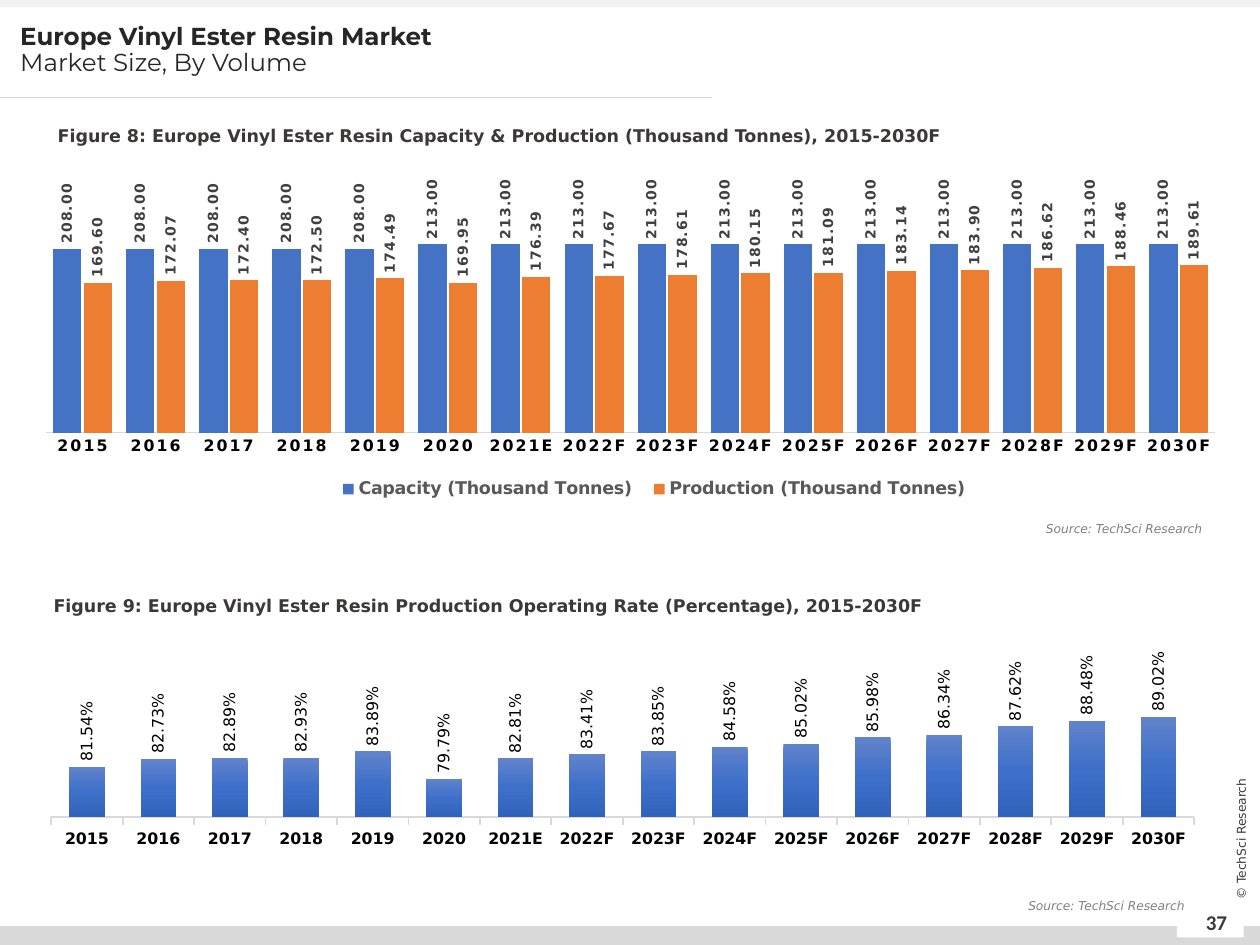
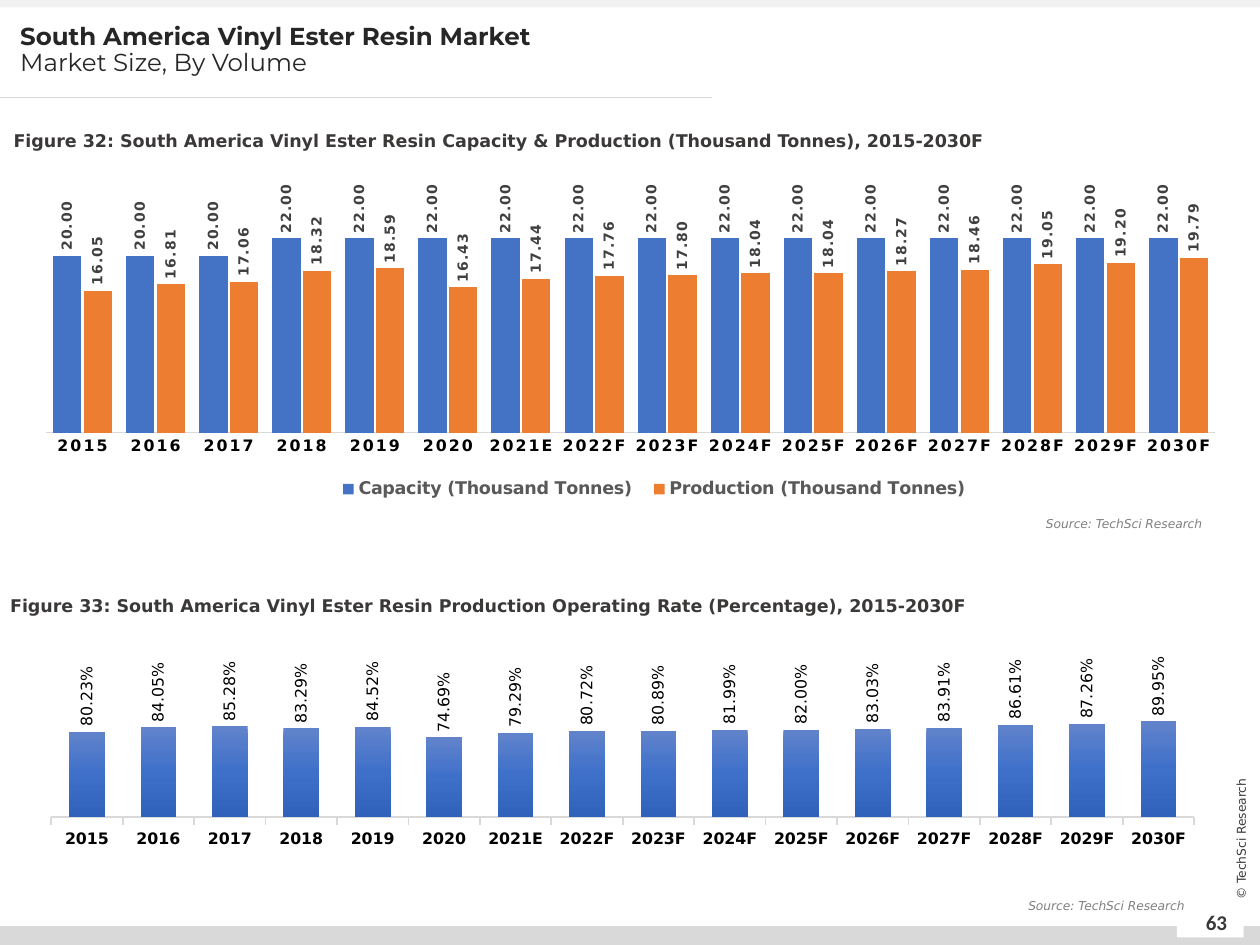
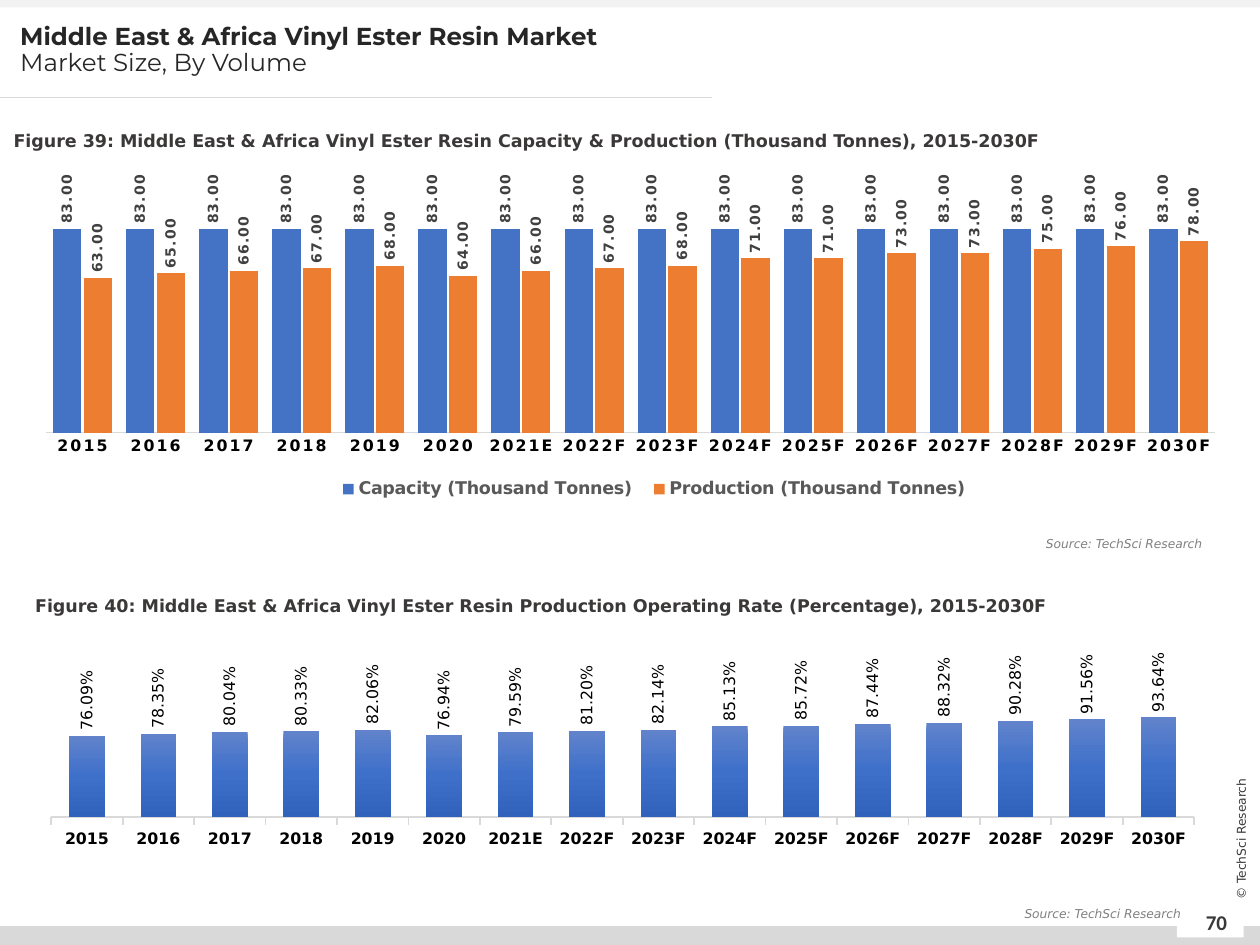
"""Build the regional vinyl ester resin capacity, production and operating rate slides."""
from copy import deepcopy
from dataclasses import dataclass

from pptx import Presentation
from pptx.chart.data import CategoryChartData
from pptx.dml.color import RGBColor
from pptx.enum.chart import (
    XL_CHART_TYPE, XL_LABEL_POSITION, XL_LEGEND_POSITION, XL_TICK_LABEL_POSITION, XL_TICK_MARK,
)
from pptx.enum.shapes import MSO_CONNECTOR, MSO_SHAPE
from pptx.enum.text import MSO_ANCHOR, MSO_AUTO_SIZE, PP_ALIGN
from pptx.oxml import parse_xml
from pptx.oxml.ns import nsdecls, qn
from pptx.util import Pt

COLUMNS = XL_CHART_TYPE.COLUMN_CLUSTERED
OUTSIDE_END = XL_LABEL_POSITION.OUTSIDE_END
LEGEND_TOP = XL_LEGEND_POSITION.TOP
NO_LABELS = XL_TICK_LABEL_POSITION.NONE
TICK_NONE, TICK_OUT = XL_TICK_MARK.NONE, XL_TICK_MARK.OUTSIDE
STRAIGHT, RECT = MSO_CONNECTOR.STRAIGHT, MSO_SHAPE.RECTANGLE
TOP, MIDDLE = MSO_ANCHOR.TOP, MSO_ANCHOR.MIDDLE
LEFT, CENTER, RIGHT = PP_ALIGN.LEFT, PP_ALIGN.CENTER, PP_ALIGN.RIGHT
NO_FIT = MSO_AUTO_SIZE.NONE

PX = 9144
WIDTH, HEIGHT = 1000, 750
TITLE_ONLY = 5
UPRIGHT = -5400000
YEARS = [str(y) for y in range(2015, 2021)] + ["2021E"] + [f"{y}F" for y in range(2022, 2031)]


@dataclass(frozen=True)
class Theme:
    """Colours, fonts and type sizes."""
    body_font: str = "DejaVu Sans"
    title_font: str = "Montserrat"
    number_font: str = "Calibri"
    title: str = "262626"
    text: str = "3B3838"
    muted: str = "808080"
    legend: str = "595959"
    label: str = "404040"
    black: str = "000000"
    white: str = "FFFFFF"
    band: str = "D9D9D9"
    top_band: str = "F2F2F2"
    capacity: str = "4472C4"
    production: str = "ED7D31"
    rate: tuple = ("6183CB", "3E70CA", "3062BB")
    title_size: int = 14
    number_size: int = 12
    figure_size: int = 10
    axis_size: int = 9
    label_size: int = 8
    small_size: int = 7


@dataclass(frozen=True)
class Region:
    """Figures and placement for one region."""
    name: str
    page: int
    figure: int
    capacity: list
    production: list
    rate: list
    volume_max: int
    rate_range: tuple
    volume_title: tuple = (1, 90)
    rate_title_width: int = 782
    volume_source: tuple = (681, 409)
    rate_source: tuple = (667, 708)


REGIONS = [
    Region(
        "Europe", 37, 8, [208] * 5 + [213] * 11,
        [169.6, 172.07, 172.4, 172.5, 174.49, 169.95, 176.39, 177.67,
         178.61, 180.15, 181.09, 183.14, 183.9, 186.62, 188.46, 189.61],
        [0.8154, 0.8273, 0.8289, 0.8293, 0.8389, 0.7979, 0.8281, 0.8341,
         0.8385, 0.8458, 0.8502, 0.8598, 0.8634, 0.8762, 0.8848, 0.8902],
        250, (0.74, 0.9), volume_title=(36, 86)),
    Region(
        "South America", 63, 32, [20] * 3 + [22] * 13,
        [16.05, 16.81, 17.06, 18.32, 18.59, 16.43, 17.44, 17.76,
         17.8, 18.04, 18.04, 18.27, 18.46, 19.05, 19.2, 19.79],
        [0.8023, 0.8405, 0.8528, 0.8329, 0.8452, 0.7469, 0.7929, 0.8072,
         0.8089, 0.8199, 0.82, 0.8303, 0.8391, 0.8661, 0.8726, 0.8995],
        25, (0, 1), volume_source=(681, 405)),
    Region(
        "Middle East & Africa", 70, 39, [83] * 16,
        [63, 65, 66, 67, 68, 64, 66, 67, 68, 71, 71, 73, 73, 75, 76, 78],
        [0.7609, 0.7835, 0.8004, 0.8033, 0.8206, 0.7694, 0.7959, 0.812,
         0.8214, 0.8513, 0.8572, 0.8744, 0.8832, 0.9028, 0.9156, 0.9364],
        90, (0, 1), rate_title_width=866,
        volume_source=(681, 421), rate_source=(664, 714)),
]


def rgb(color):
    """Turn a hex string into a colour."""
    return RGBColor.from_string(color)


def px(*lengths):
    """Turn px lengths into EMU."""
    return [n * PX for n in lengths]


def manual_layout(x, y, w, h, inner=False):
    """Return a chart layout element in fractions of the chart."""
    target = '<c:layoutTarget val="inner"/>' if inner else ""
    return parse_xml(
        f'<c:layout {nsdecls("c")}><c:manualLayout>{target}'
        '<c:xMode val="edge"/><c:yMode val="edge"/>'
        f'<c:x val="{x}"/><c:y val="{y}"/><c:w val="{w}"/><c:h val="{h}"/>'
        '</c:manualLayout></c:layout>')


def drop_layout(element):
    """Remove an existing layout from a chart part."""
    for layout in element.findall(qn("c:layout")):
        element.remove(layout)


def orient(element, rotation, spacing=0):
    """Set the rotation and letter spacing of chart text."""
    props = element.find(qn("c:txPr"))
    body = props.find(qn("a:bodyPr"))
    body.set("rot", str(rotation))
    body.set("vert", "horz")
    next(props.iter(qn("a:defRPr"))).set("spc", str(spacing))


class Deck:
    """Holds the theme, the presentation and the current slide."""

    def __init__(self, theme):
        """Start an empty presentation."""
        self.theme = theme
        self.prs = Presentation()
        self.prs.slide_width, self.prs.slide_height = px(WIDTH, HEIGHT)
        self.s = None

    def style(self, font, size, color, bold=False, italic=False, name=None):
        """Format a font."""
        font.name = name or self.theme.body_font
        font.size = Pt(size)
        font.bold, font.italic = bold, italic
        font.color.rgb = rgb(color)

    def slide(self, heading, page):
        """Add a slide with its bands, title and footer."""
        t = self.theme
        self.s = self.prs.slides.add_slide(self.prs.slide_layouts[TITLE_ONLY])
        self.rect(0, 735, WIDTH, 15, t.band)
        self.rect(0, 0, WIDTH, 6, t.top_band)
        self.rect(934, 722, 53, 22, t.white)
        self.text((941, 712, 49, 40), str(page), t.number_size, t.text, bold=True,
                  name=t.number_font, align=CENTER, anchor=MIDDLE)
        sp = self.text((925, 658, 120, 16), "© TechSci Research", t.small_size, t.text,
                       align=CENTER, anchor=MIDDLE)
        sp.rotation = 270
        self.rule(0, 77, 565)
        self.title(heading, "Market Size, By Volume")

    def title(self, heading, subheading):
        """Fill and place the title placeholder."""
        t = self.theme
        sp = self.s.shapes.title
        sp.left, sp.top, sp.width, sp.height = px(6, 14, 613, 67)
        tf = sp.text_frame
        tf.auto_size, tf.vertical_anchor, tf.word_wrap = NO_FIT, TOP, True
        for p, line, bold in ((tf.paragraphs[0], heading, True),
                              (tf.add_paragraph(), subheading, False)):
            p.alignment, p.line_spacing = LEFT, 0.9
            r = p.add_run()
            r.text = line
            self.style(r.font, t.title_size, t.title, bold, name=t.title_font)

    def rect(self, x, y, w, h, color):
        """Add a plain filled rectangle."""
        sp = self.s.shapes.add_shape(RECT, *px(x, y, w, h))
        sp.shadow.inherit = False
        sp.fill.solid()
        sp.fill.fore_color.rgb = rgb(color)
        sp.line.fill.background()

    def rule(self, x, y, w):
        """Add a thin horizontal line."""
        line = self.s.shapes.add_connector(STRAIGHT, *px(x, y, x + w, y))
        line.line.color.rgb = rgb(self.theme.band)
        line.line.width = Pt(0.5)
        line._element.spPr.append(parse_xml(f'<a:effectLst {nsdecls("a")}/>'))

    def text(self, box, content, size, color, bold=False, italic=False, name=None,
             align=LEFT, anchor=TOP, spacing=None):
        """Add a one-paragraph text box."""
        sp = self.s.shapes.add_textbox(*px(*box))
        tf = sp.text_frame
        tf.word_wrap, tf.vertical_anchor = True, anchor
        p = tf.paragraphs[0]
        p.alignment, p.line_spacing = align, spacing
        r = p.add_run()
        r.text = content
        self.style(r.font, size, color, bold, italic, name)
        return sp

    def figure_title(self, x, y, w, content, align=LEFT):
        """Add a figure heading."""
        self.text((x, y, w, 32), content, self.theme.figure_size, self.theme.text,
                  bold=True, align=align, spacing=1.5)

    def source(self, x, y):
        """Add a source line."""
        self.text((x, y, 283, 22), "Source: TechSci Research", self.theme.small_size,
                  self.theme.muted, italic=True, align=RIGHT)

    def columns(self, box, series, number_format, bounds, plot_area, gap, size):
        """Add a column chart with the shared axis style."""
        t = self.theme
        data = CategoryChartData(number_format=number_format)
        data.categories = YEARS
        for name, values in series:
            data.add_series(name, values)
        chart = self.s.shapes.add_chart(COLUMNS, *px(*box), data).chart
        chart.has_title = chart.has_legend = False
        self.style(chart.font, size, t.black)
        area = chart._chartSpace.chart.plotArea
        drop_layout(area)
        area.insert(0, manual_layout(*plot_area, inner=True))
        plot = chart.plots[0]
        plot.gap_width, plot.vary_by_categories = gap, False
        values, years = chart.value_axis, chart.category_axis
        values.has_major_gridlines = False
        values.minimum_scale, values.maximum_scale = bounds
        self.style(years.tick_labels.font, t.axis_size, t.black, bold=True)
        years.format.line.color.rgb = rgb(t.band)
        return chart

    def labels(self, series, number_format, size, color, bold=False, spacing=0):
        """Add upright value labels to a series."""
        labels = series.data_labels
        labels.show_value, labels.position = True, OUTSIDE_END
        labels.number_format, labels.number_format_is_linked = number_format, False
        self.style(labels.font, size, color, bold)
        orient(labels._element, UPRIGHT, spacing)

    def volume_chart(self, capacity, production, top):
        """Add the capacity and production chart."""
        t = self.theme
        series = [("Capacity (Thousand Tonnes)", capacity),
                  ("Production (Thousand Tonnes)", production)]
        chart = self.columns((36, 126, 929, 285), series, "0.00", (0, top),
                             (0, 0.148, 1, 0.615), 50, t.figure_size)
        chart.plots[0].overlap = -8
        chart.value_axis.visible = False
        years = chart.category_axis
        years.major_tick_mark = TICK_NONE
        years.format.line.width = Pt(0.75)
        orient(years._element, 0, 120)
        for column, color in zip(chart.plots[0].series, (t.capacity, t.production)):
            column.format.fill.solid()
            column.format.fill.fore_color.rgb = rgb(color)
            self.labels(column, "0.00", t.label_size, t.label, bold=True, spacing=50)
        chart.has_legend = True
        legend = chart.legend
        legend.position, legend.include_in_layout = LEGEND_TOP, False
        self.style(legend.font, t.figure_size, t.legend, bold=True)
        drop_layout(legend._element)
        legend._element.find(qn("c:legendPos")).addnext(manual_layout(0.24, 0.88, 0.56, 0.08))

    def rate_chart(self, rate, bounds):
        """Add the operating rate chart."""
        t = self.theme
        chart = self.columns((17, 507, 947, 174), [("Series 1", rate)], "0.00%", bounds,
                             (0.025, 0.327, 0.958, 0.488), 100, t.axis_size)
        values, years = chart.value_axis, chart.category_axis
        values.tick_label_position = NO_LABELS
        values.major_tick_mark = years.major_tick_mark = TICK_OUT
        values.format.line.fill.background()
        years.format.line.width = Pt(1)
        orient(years._element, 0)
        column = chart.plots[0].series[0]
        fill = column.format.fill
        fill.gradient()
        fill.gradient_angle = 270
        stops = next(column._element.iter(qn("a:gsLst")))
        stops.insert(1, deepcopy(stops[0]))
        for i, (stop, color) in enumerate(zip(fill.gradient_stops, t.rate)):
            stop.position = i / 2
            stop.color.rgb = rgb(color)
        self.labels(column, "0.00%", t.axis_size, t.black)

    def region(self, region):
        """Build the slide of one region."""
        market = f"{region.name} Vinyl Ester Resin"
        self.slide(f"{market} Market", region.page)
        self.volume_chart(region.capacity, region.production, region.volume_max)
        self.figure_title(
            *region.volume_title, 963,
            f"Figure {region.figure}: {market} Capacity & Production (Thousand Tonnes), 2015-2030F")
        self.figure_title(
            -4, 459, region.rate_title_width,
            f"Figure {region.figure + 1}: {market} Production Operating Rate (Percentage), 2015-2030F",
            CENTER)
        self.rate_chart(region.rate, region.rate_range)
        self.source(*region.rate_source)
        self.source(*region.volume_source)


def main():
    """Build and save the deck."""
    deck = Deck(Theme())
    for region in REGIONS:
        deck.region(region)
    deck.prs.save("out.pptx")


if __name__ == "__main__":
    main()
